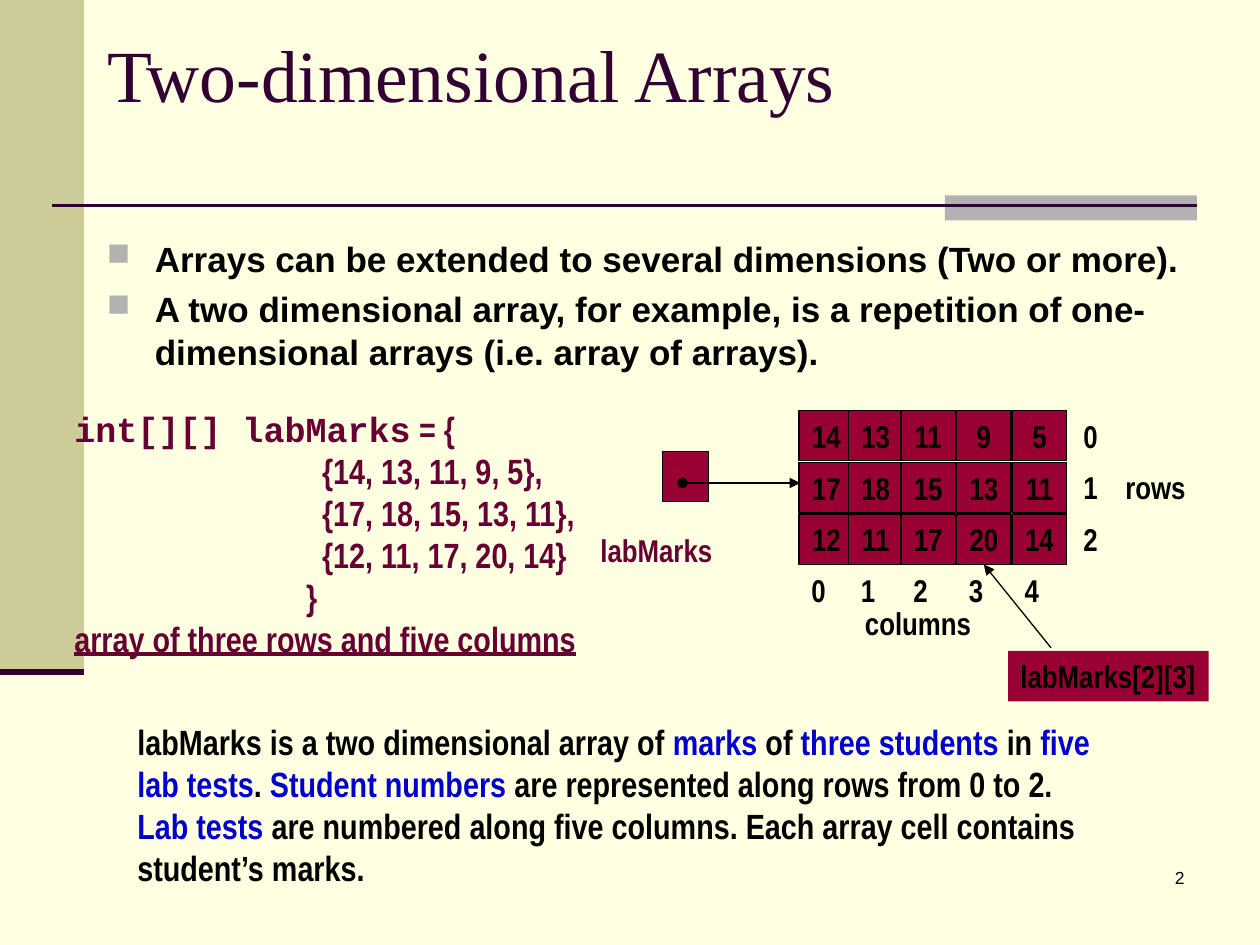
from pptx import Presentation
from pptx.dml.color import RGBColor
from pptx.enum.shapes import MSO_CONNECTOR as Link, MSO_SHAPE as Form
from pptx.enum.text import MSO_ANCHOR as Anchor, PP_ALIGN as Align
from pptx.oxml.ns import qn
from pptx.util import Inches, Pt
from lxml.etree import SubElement

CREAM = RGBColor(0xFF, 0xFF, 0xE1)
SAND = RGBColor(0xCC, 0xCC, 0x99)
GRAY = RGBColor(0xB2, 0xB2, 0xB2)
PLUM = RGBColor(0x33, 0x00, 0x33)
WINE = RGBColor(0x66, 0x00, 0x33)
RED = RGBColor(0x99, 0x00, 0x33)
BLUE = RGBColor(0x00, 0x00, 0xCC)
BLACK = RGBColor(0x00, 0x00, 0x00)

NARROW = "Arial Narrow"
COLS, ROWS = 120, 90
WIDE, HIGH = Inches(10), Inches(7.5)

MARKS = [[14, 13, 11, 9, 5], [17, 18, 15, 13, 11], [12, 11, 17, 20, 14]]
LEFTS = [76.1, 80.8, 85.8, 91.1, 96.4]
TOP, STEP = 39.1, 4.93
CELL_W, CELL_H = 5.2, 4.8

POINTS = [
    "Arrays can be extended to several dimensions (Two or more).",
    "A two dimensional array, for example, is a repetition of "
    "one-dimensional arrays (i.e. array of arrays).",
]
PAD = " " * 31
CODE = [
    [("int[][] labMarks", WINE, "Courier New"), (" = {", WINE, NARROW)],
    PAD + "{14, 13, 11, 9, 5},",
    PAD + "{17, 18, 15, 13, 11},",
    PAD + "{12, 11, 17, 20, 14}",
    PAD[2:] + "}",
    "array of three rows and five columns",
]
NOTES = [
    [("labMarks is a two dimensional array of ", BLACK, NARROW),
     ("marks", BLUE, NARROW), (" of ", BLACK, NARROW),
     ("three students", BLUE, NARROW), (" in ", BLACK, NARROW),
     ("five", BLUE, NARROW)],
    [("lab tests", BLUE, NARROW), (". ", BLACK, NARROW),
     ("Student numbers", BLUE, NARROW),
     (" are represented along rows from 0 to 2.", BLACK, NARROW)],
    [("Lab tests", BLUE, NARROW),
     (" are numbered along five columns. Each array cell contains",
      BLACK, NARROW)],
    "student’s marks.",
]


def grid(x, y):
    return round(WIDE * x / COLS), round(HIGH * y / ROWS)


def write(frame, lines, size=18, ink=BLACK, face=NARROW, bold=True,
          align=Align.LEFT, wrap=False):
    frame.word_wrap = wrap
    for i, line in enumerate(lines):
        para = frame.paragraphs[0] if i == 0 else frame.add_paragraph()
        para.alignment = align
        font = para.font
        font.size, font.bold = Pt(size), bold
        if isinstance(line, str):
            para.text = line
            font.name, font.color.rgb = face, ink
            continue
        for text, tint, name in line:
            run = para.add_run()
            run.text = text
            run.font.name, run.font.color.rgb = name, tint


def label(slide, x, y, w, h, lines, **style):
    frame = slide.shapes.add_textbox(*grid(x, y), *grid(w, h)).text_frame
    write(frame, lines, **style)
    return frame


def block(slide, x, y, w, h, fill, edge=None):
    shape = slide.shapes.add_shape(Form.RECTANGLE, *grid(x, y), *grid(w, h))
    shape.shadow.inherit = False
    shape.fill.solid()
    shape.fill.fore_color.rgb = fill
    if edge is None:
        shape.line.fill.background()
    else:
        shape.line.color.rgb = edge
        shape.line.width = Pt(0.75)
    return shape


def rule(slide, x1, y1, x2, y2, ink=BLACK, width=0.75, head=None, tail=None):
    line = slide.shapes.add_connector(
        Link.STRAIGHT, *grid(x1, y1), *grid(x2, y2))
    line.line.color.rgb = ink
    line.line.width = Pt(width)
    stroke = line.line._get_or_add_ln()
    for tag, kind in (("a:headEnd", head), ("a:tailEnd", tail)):
        if kind:
            SubElement(stroke, qn(tag), type=kind)
    SubElement(line._element.spPr, qn("a:effectLst"))
    return line


def bullets(slide):
    frame = label(slide, 9, 22, 106, 14, [])
    for para in [frame.paragraphs[0], frame.add_paragraph()]:
        props = para._p.get_or_add_pPr()
        props.set("marL", str(Inches(0.38)))
        props.set("indent", str(-Inches(0.38)))
        tint = SubElement(props, qn("a:buClr"))
        SubElement(tint, qn("a:srgbClr"), val=str(GRAY))
        SubElement(props, qn("a:buSzPct"), val="90000")
        SubElement(props, qn("a:buChar"), char="■")
    for para, text in zip(frame.paragraphs, POINTS):
        para.text = text
        font = para.font
        font.size, font.bold, font.name = Pt(20), True, "Arial"
        font.color.rgb = BLACK
    frame.paragraphs[1].space_before = Pt(5)
    frame.word_wrap = True


def matrix(slide):
    cells = []
    for i, row in enumerate(MARKS):
        y = TOP + i * STEP
        for x, mark in zip(LEFTS, row):
            cell = block(slide, x, y, CELL_W, CELL_H, RED, BLACK)
            write(cell.text_frame, [str(mark)], align=Align.CENTER)
            cells.append(cell)
        label(slide, 102, y, 3.7, CELL_H, [str(i)])
    for j, x in enumerate(LEFTS):
        label(slide, x, 53.8, 3.7, CELL_H, [str(j)])
    label(slide, 106, 44, 8.2, CELL_H, ["rows"], wrap=True)
    label(slide, 81.2, 56.9, 12.5, CELL_H, ["columns"])
    return cells


def frame_page(slide):
    slide.background.fill.solid()
    slide.background.fill.fore_color.rgb = CREAM
    block(slide, 0, 0, 8, 64, SAND)
    block(slide, 90, 18.6, 24, 2.4, GRAY)
    rule(slide, 5, 19.6, 114, 19.6, PLUM, 1.5)
    rule(slide, 0, 64, 8, 64, PLUM, 3.5)
    label(slide, 89, 82, 25, 6, ["2"], size=10, face="Arial", bold=False,
          align=Align.RIGHT, wrap=True)


def head(slide):
    title = slide.shapes.title
    title.left, title.top = grid(9, 0)
    title.width, title.height = grid(102, 14)
    title.text_frame.vertical_anchor = Anchor.MIDDLE
    write(title.text_frame, ["Two-dimensional Arrays"], size=42, ink=PLUM,
          face="Times New Roman", bold=False, wrap=True)


def main():
    deck = Presentation()
    deck.slide_width, deck.slide_height = WIDE, HIGH
    slide = deck.slides.add_slide(deck.slide_layouts[5])
    frame_page(slide)
    head(slide)
    bullets(slide)
    code = label(slide, 5.9, 38.2, 50.2, 25.2, CODE, size=20, ink=WINE)
    code.paragraphs[-1].font.underline = True
    cells = matrix(slide)
    arrow = rule(slide, 100.1, 61.7, 93.8, 53.8, tail="triangle")
    arrow.end_connect(cells[13], 2)
    block(slide, 63.1, 43, 4.4, CELL_H, RED, BLACK)
    label(slide, 56, 50, 13.1, CELL_H, ["labMarks"], ink=WINE)
    rule(slide, 65, 46, 76.2, 46, head="oval", tail="triangle")
    tag = block(slide, 96, 62, 19.1, CELL_H, RED)
    write(tag.text_frame, ["labMarks[2][3]"])
    label(slide, 11.9, 68, 93.1, 17.3, NOTES, size=20)
    deck.save("out.pptx")


if __name__ == "__main__":
    main()
